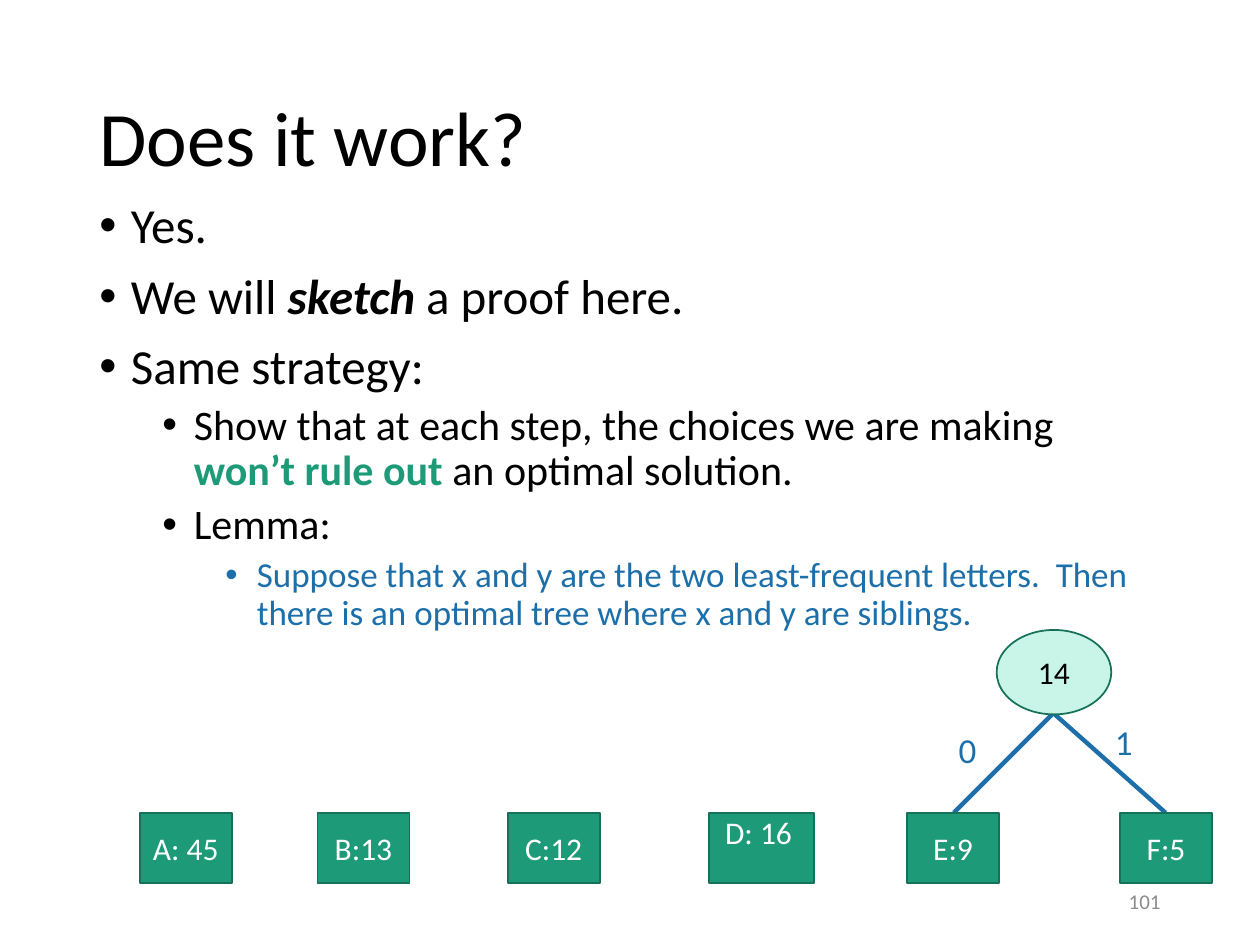
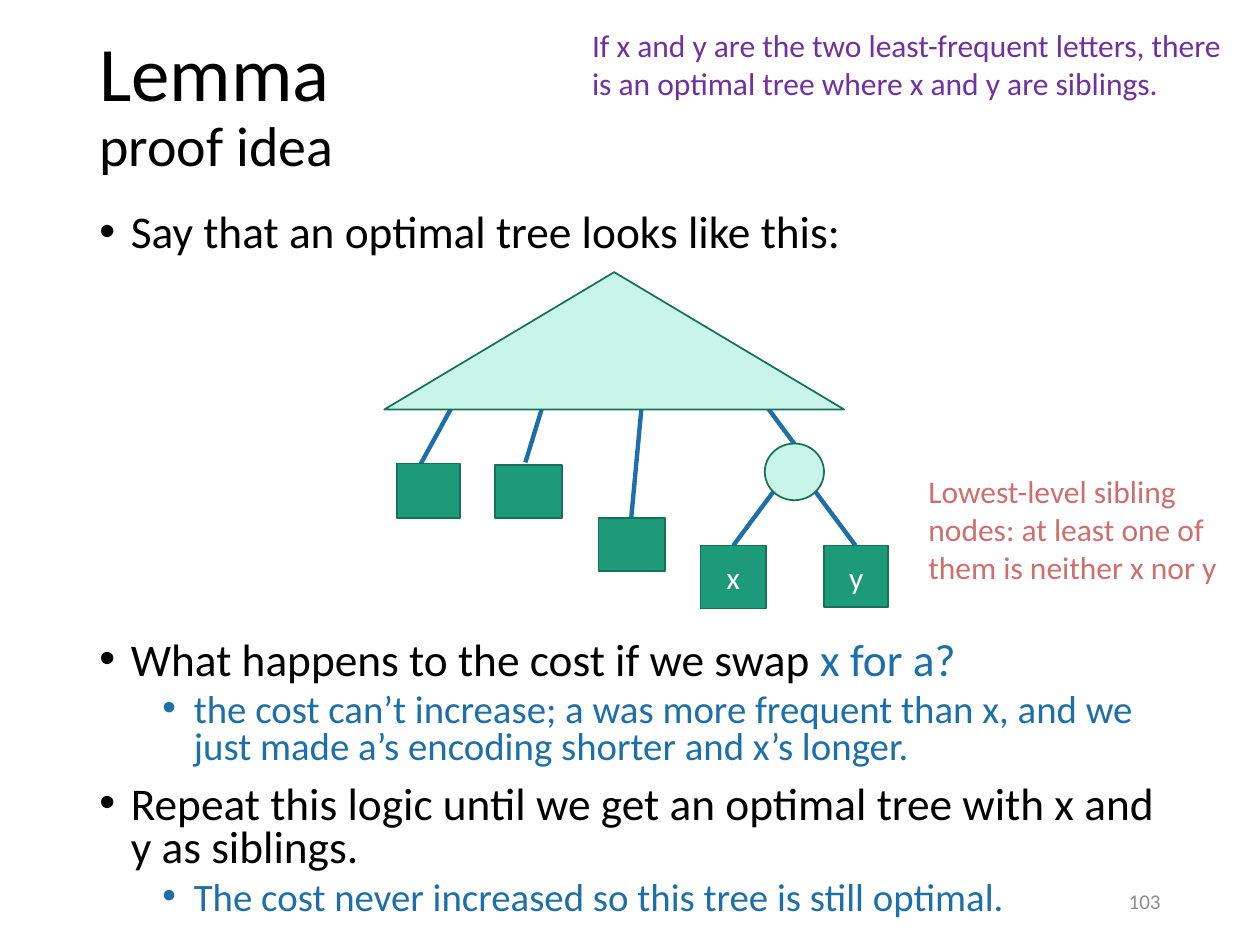
from lxml.etree import SubElement
from pptx import Presentation
from pptx.dml.color import RGBColor
from pptx.enum.shapes import MSO_CONNECTOR, MSO_SHAPE
from pptx.enum.text import MSO_ANCHOR, PP_ALIGN
from pptx.oxml.ns import qn
from pptx.util import Inches, Pt

BLACK = RGBColor(0x00, 0x00, 0x00)
WHITE = RGBColor(0xFF, 0xFF, 0xFF)
GREEN = RGBColor(0x1D, 0x9A, 0x78)
DARK_GREEN = RGBColor(0x15, 0x72, 0x59)
MINT = RGBColor(0xC8, 0xF5, 0xE8)
BLUE = RGBColor(0x1D, 0x6F, 0xA9)
PURPLE = RGBColor(0x70, 0x30, 0xA0)
ROSE = RGBColor(0xCF, 0x6E, 0x6C)
GREY = RGBColor(0x8C, 0x8C, 0x8C)
FONT = "Calibri"
LEFT, WIDTH = 0.69, 8.62


def add_runs(paragraph, runs, size, color):
    """Add (text, format) runs; a lone line feed becomes a line break."""
    for text, changes in runs:
        if text == "\n":
            paragraph.add_line_break()
            continue
        run = paragraph.add_run()
        run.text = text
        style = {"name": FONT, "size": Pt(size), "color": color, **changes}
        run.font.color.rgb = style.pop("color")
        for key, value in style.items():
            setattr(run.font, key, value)


def add_text(slide, box, runs, size, color, anchor=MSO_ANCHOR.TOP, align=PP_ALIGN.LEFT):
    """Add a wrapped text box with one paragraph and return its frame."""
    frame = slide.shapes.add_textbox(*map(Inches, box)).text_frame
    frame.word_wrap = True
    frame.vertical_anchor = anchor
    frame.paragraphs[0].alignment = align
    add_runs(frame.paragraphs[0], runs, size, color)
    return frame


prs = Presentation()
prs.slide_width, prs.slide_height = Inches(10), Inches(7.5)
strategy, lemma = [prs.slides.add_slide(prs.slide_layouts[6]) for _ in range(2)]

# Titles and page numbers
for slide, title_top, title_runs, page in [
    (strategy, 0.4, [("Does it work?", {})], "101"),
    (lemma, 0.12, [("Lemma", {}), ("\n", {}), ("proof idea", {"size": Pt(32)})], "103"),
]:
    title = add_text(slide, (LEFT, title_top, WIDTH, 1.45), title_runs, 44, BLACK,
                     MSO_ANCHOR.MIDDLE)
    title.paragraphs[0].line_spacing = 0.9
    add_text(slide, (7.06, 6.95, 2.25, 0.4), [(page, {})], 12, GREY,
             MSO_ANCHOR.MIDDLE, PP_ALIGN.RIGHT)

# Bulleted text: each point is (level, colour, runs)
strategy_points = [
    (0, BLACK, [("Yes.", {})]),
    (0, BLACK, [("We will ", {}), ("sketch", {"bold": True, "italic": True}),
                (" a proof here.", {})]),
    (0, BLACK, [("Same strategy:", {})]),
    (1, BLACK, [("Show that at each step, the choices we are making ", {}),
                ("won’t rule out ", {"bold": True, "color": GREEN}),
                ("an optimal solution.", {})]),
    (1, BLACK, [("Lemma:", {})]),
    (2, BLUE, [("Suppose that x and y are the two least-frequent letters.  Then "
                "there is an optimal tree where x and y are siblings.", {})]),
]
premise_points = [(0, BLACK, [("Say that an optimal tree looks like this:", {})])]
swap_points = [
    (0, BLACK, [("What happens to the cost if we swap ", {}), ("x for a?", {"color": BLUE})]),
    (1, BLUE, [("the cost can’t increase; a was more frequent than x, and we just "
                "made a’s encoding shorter and x’s longer.", {})]),
    (0, BLACK, [("Repeat this logic until we get an optimal tree with x and y as "
                 "siblings.", {})]),
    (1, BLUE, [("The cost never increased so this tree is still optimal.", {})]),
]
for slide, top, height, points, sizes, spacing in [
    (strategy, 1.55, 4.76, strategy_points, (28, 24, 20), 0.9),
    (lemma, 1.65, 0.5, premise_points, (25.9, 22.2), 0.8),
    (lemma, 5.04, 2.4, swap_points, (25.9, 22.2), 0.8),
]:
    frame = slide.shapes.add_textbox(*map(Inches, (LEFT, top, WIDTH, height))).text_frame
    frame.word_wrap = True
    for index, (level, color, runs) in enumerate(points):
        point = frame.add_paragraph() if index else frame.paragraphs[0]
        point.level = level
        point.line_spacing = spacing
        if index:
            point.space_before = Pt(5 if level else 10)
        properties = point._p.get_or_add_pPr()
        properties.set("marL", str(Inches(0.25 + 0.5 * level)))
        properties.set("indent", str(-Inches(0.25)))
        SubElement(properties, qn("a:buFont")).set("typeface", "Arial")
        SubElement(properties, qn("a:buChar")).set("char", "•")
        add_runs(point, runs, sizes[level], color)

# Tree edges: start x, y and end x, y
for slide, edges in [
    (strategy, [(8.36, 5.66, 9.25, 6.45), (8.36, 5.66, 7.57, 6.45)]),
    (lemma, [(6.05, 3.18, 6.31, 3.53), (4.32, 3.18, 4.17, 3.67),
             (3.62, 3.17, 3.34, 3.68), (5.09, 3.25, 5.01, 4.11),
             (6.14, 3.9, 5.82, 4.33), (6.47, 3.9, 6.79, 4.33)]),
]:
    for ends in edges:
        edge = slide.shapes.add_connector(MSO_CONNECTOR.STRAIGHT, *map(Inches, ends))
        edge.line.color.rgb = BLUE
        edge.line.width = Pt(2.5)
        SubElement(edge._element.spPr, qn("a:effectLst"))

# Tree nodes: green leaves, mint inner nodes and subtree
leaves = [("A: 45", 1.11, 0.73), ("B:13", 2.52, 0.73), ("C:12", 4.03, 0.73),
          ("D: 16", 5.63, 0.83), ("E:9", 7.2, 0.73), ("F:5", 8.89, 0.73)]
nodes = [(strategy, MSO_SHAPE.RECTANGLE, (left, 6.45, width, 0.56), label)
         for label, left, width in leaves]
nodes += [
    (strategy, MSO_SHAPE.OVAL, (7.91, 5, 0.91, 0.67), "14"),
    (lemma, MSO_SHAPE.ISOSCELES_TRIANGLE, (3.05, 2.16, 3.65, 1.09), ""),
    (lemma, MSO_SHAPE.OVAL, (6.07, 3.52, 0.47, 0.45), ""),
    (lemma, MSO_SHAPE.RECTANGLE, (3.15, 3.68, 0.5, 0.43), ""),
    (lemma, MSO_SHAPE.RECTANGLE, (3.93, 3.69, 0.53, 0.42), ""),
    (lemma, MSO_SHAPE.RECTANGLE, (4.75, 4.11, 0.53, 0.42), ""),
    (lemma, MSO_SHAPE.RECTANGLE, (5.56, 4.33, 0.52, 0.5), "x"),
    (lemma, MSO_SHAPE.RECTANGLE, (6.54, 4.33, 0.51, 0.49), "y"),
]
for slide, outline, box, label in nodes:
    is_leaf = outline == MSO_SHAPE.RECTANGLE
    node = slide.shapes.add_shape(outline, *map(Inches, box))
    node.shadow.inherit = False
    node.fill.solid()
    node.fill.fore_color.rgb = GREEN if is_leaf else MINT
    node.line.color.rgb = DARK_GREEN
    node.line.width = Pt(1)
    if label:
        frame = node.text_frame
        frame.word_wrap = True
        frame.margin_left = frame.margin_right = Inches(0.05)
        frame.vertical_anchor = MSO_ANCHOR.MIDDLE
        frame.paragraphs[0].alignment = PP_ALIGN.CENTER
        add_runs(frame.paragraphs[0], [(label, {})], 18, WHITE if is_leaf else BLACK)
        if label == "D: 16":  # this label sits at the top of its leaf
            frame.vertical_anchor = MSO_ANCHOR.TOP
            frame.margin_top = 0
            frame.margin_right = Inches(0.1)

# Edge labels and side remarks
for slide, box, text, size, color in [
    (strategy, (7.51, 5.73, 0.66, 0.44), "0", 20, BLUE),
    (strategy, (8.75, 5.67, 0.66, 0.44), "1", 20, BLUE),
    (lemma, (7.27, 3.7, 2.52, 1.01),
     "Lowest-level sibling nodes: at least one of them is neither x nor y", 18, ROSE),
    (lemma, (4.6, 0.16, 5.38, 0.71),
     "If x and y are the two least-frequent letters, there is an optimal tree "
     "where x and y are siblings.", 18, PURPLE),
]:
    add_text(slide, box, [(text, {})], size, color)

prs.save("out.pptx")
